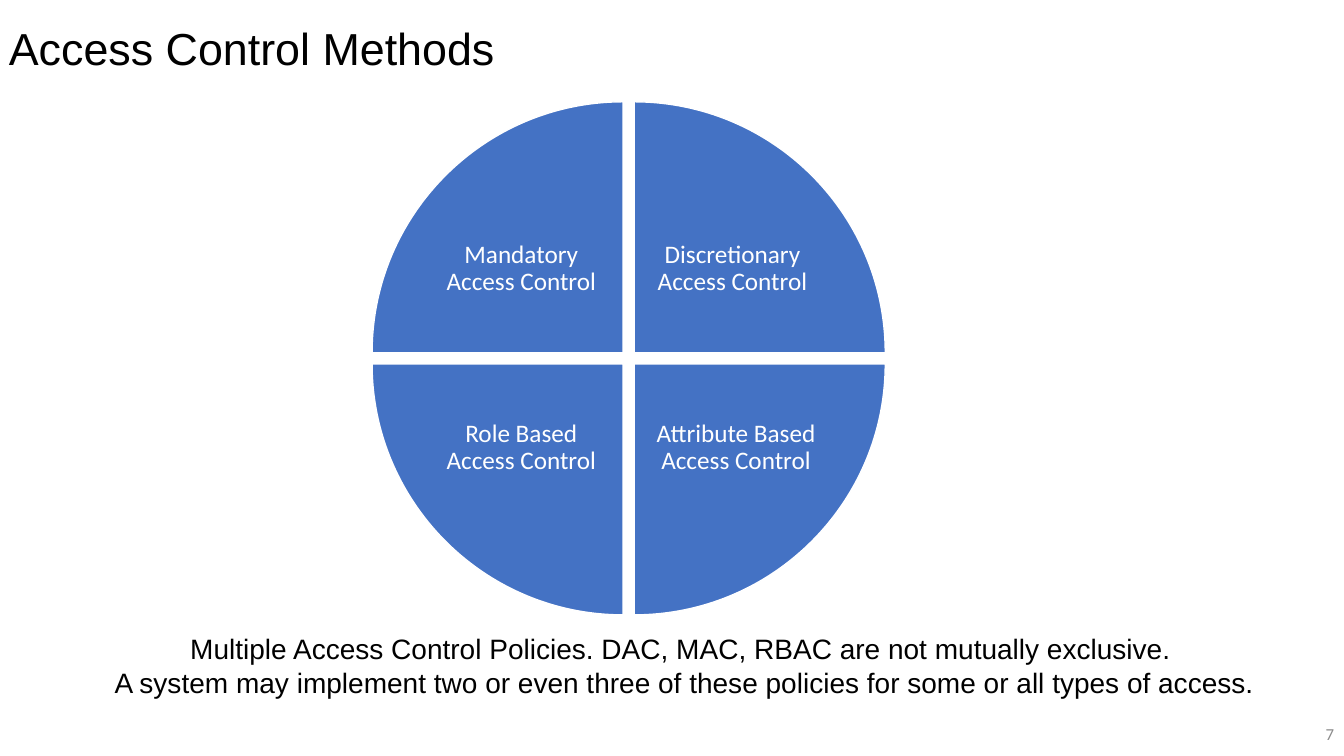
import lxml.etree
import pptx
import pptx.dml.color
import pptx.enum.text
import pptx.oxml.ns
import pptx.util

Inches = pptx.util.Inches
Pt = pptx.util.Pt
ALIGN = pptx.enum.text.PP_ALIGN
ANCHOR = pptx.enum.text.MSO_ANCHOR
AUTO_SIZE = pptx.enum.text.MSO_AUTO_SIZE

DIAMETER = 4.98
GAP = 0.11
UNIT = 1000  # radius in outline units
BEND = 0.5523  # handle length of a quarter-circle curve

# Direction where the clockwise arc starts, insets (left, top, right, bottom), label
QUADRANTS = [
    ((0, -1), (2.58, 0.95, 0.63, 2.61), "Discretionary Access Control"),
    ((1, 0), (2.61, 2.61, 0.59, 0.95), "Attribute Based Access Control"),
    ((0, 1), (0.59, 2.61, 2.61, 0.95), "Role Based Access Control"),
    ((-1, 0), (0.59, 0.95, 2.61, 2.61), "Mandatory Access Control"),
]
CAPTION = [
    "Multiple Access Control Policies. DAC, MAC, RBAC are not mutually exclusive. ",
    "A system may implement two or even three of these policies for some or all types of access.",
]


def color(hex_string):
    return pptx.dml.color.RGBColor.from_string(hex_string)


def write(frame, lines, font, size, ink, align, spacing=None, after=None):
    """Fill a text frame with one paragraph per line."""
    for index, line in enumerate(lines):
        para = frame.add_paragraph() if index else frame.paragraphs[0]
        para.text = line
        para.alignment = align
        para.line_spacing = spacing
        para.space_after = after
        para.font.name = font
        para.font.size = Pt(size)
        para.font.color.rgb = color(ink)


def add_text(page, bounds, lines, font, size, ink, align, anchor, spacing=None):
    box = page.shapes.add_textbox(*map(Inches, bounds))
    frame = box.text_frame
    frame.word_wrap = True
    frame.vertical_anchor = anchor
    write(frame, lines, font, size, ink, align, spacing)
    return frame


def set_quarter_outline(shape, start, end):
    """Replace the outline by a quarter disc running from start to end."""
    outline = shape.element.xpath(".//a:pathLst/*")[0]
    for child in list(outline):
        outline.remove(child)
    outline.set("w", str(2 * UNIT))
    outline.set("h", str(2 * UNIT))
    first_handle = [s + BEND * e for s, e in zip(start, end)]
    second_handle = [e + BEND * s for s, e in zip(start, end)]
    steps = [
        ("a:moveTo", [start]),
        ("a:cubicBezTo", [first_handle, second_handle, end]),
        ("a:lnTo", [(0, 0)]),
        ("a:close", []),
    ]
    for tag, points in steps:
        step = lxml.etree.SubElement(outline, pptx.oxml.ns.qn(tag))
        for x, y in points:
            point = lxml.etree.SubElement(step, pptx.oxml.ns.qn("a:pt"))
            point.set("x", str(round(UNIT * (1 + x))))
            point.set("y", str(round(UNIT * (1 + y))))


def add_quadrant(page, left, top, start, insets, label):
    """Draw a quarter disc in the box of its full circle."""
    start_x, start_y = start
    end = (-start_y, start_x)
    left += GAP * (start_x + end[0] > 0)
    top += GAP * (start_y + end[1] > 0)
    right, bottom = left + DIAMETER, top + DIAMETER
    builder = page.shapes.build_freeform(Inches(left), Inches(top))
    builder.add_line_segments(
        [(Inches(x), Inches(y)) for x, y in ((right, top), (right, bottom), (left, bottom))]
    )
    shape = builder.convert_to_shape()
    set_quarter_outline(shape, start, end)
    shape.shadow.inherit = False
    shape.fill.solid()
    shape.fill.fore_color.rgb = color("4472C4")
    shape.line.color.rgb = color("FFFFFF")
    shape.line.width = Pt(1)

    frame = shape.text_frame
    frame.word_wrap = True
    frame.vertical_anchor = ANCHOR.MIDDLE
    frame.margin_left, frame.margin_top, frame.margin_right, frame.margin_bottom = map(
        Inches, insets
    )
    write(frame, [label], "Calibri", 18, "FFFFFF", ALIGN.CENTER, 0.9, Pt(6.3))


def add_wheel(page, left, top):
    for start, insets, label in QUADRANTS:
        add_quadrant(page, left, top, start, insets, label)


def build_methods_slide(deck):
    page = deck.slides.add_slide(deck.slide_layouts[6])
    add_text(page, (-0.01, 0.02, 11.5, 0.97), ["Access Control Methods"],
             "Arial", 32, "000000", ALIGN.LEFT, ANCHOR.MIDDLE, 0.9)
    add_wheel(page, 3.69, 1.01)
    add_text(page, (10.33, 7.08, 3, 0.4), ["7"],
             "Calibri", 12, "8C8C8C", ALIGN.RIGHT, ANCHOR.MIDDLE)
    caption = add_text(page, (1, 6.22, 11.58, 0.77), CAPTION,
                       "Arial", 20, "000000", ALIGN.CENTER, ANCHOR.TOP)
    caption.word_wrap = False
    caption.auto_size = AUTO_SIZE.SHAPE_TO_FIT_TEXT


def main():
    deck = pptx.Presentation()
    deck.slide_width = Inches(13.33)
    deck.slide_height = Inches(7.5)
    build_methods_slide(deck)
    deck.save("out.pptx")


if __name__ == "__main__":
    main()
